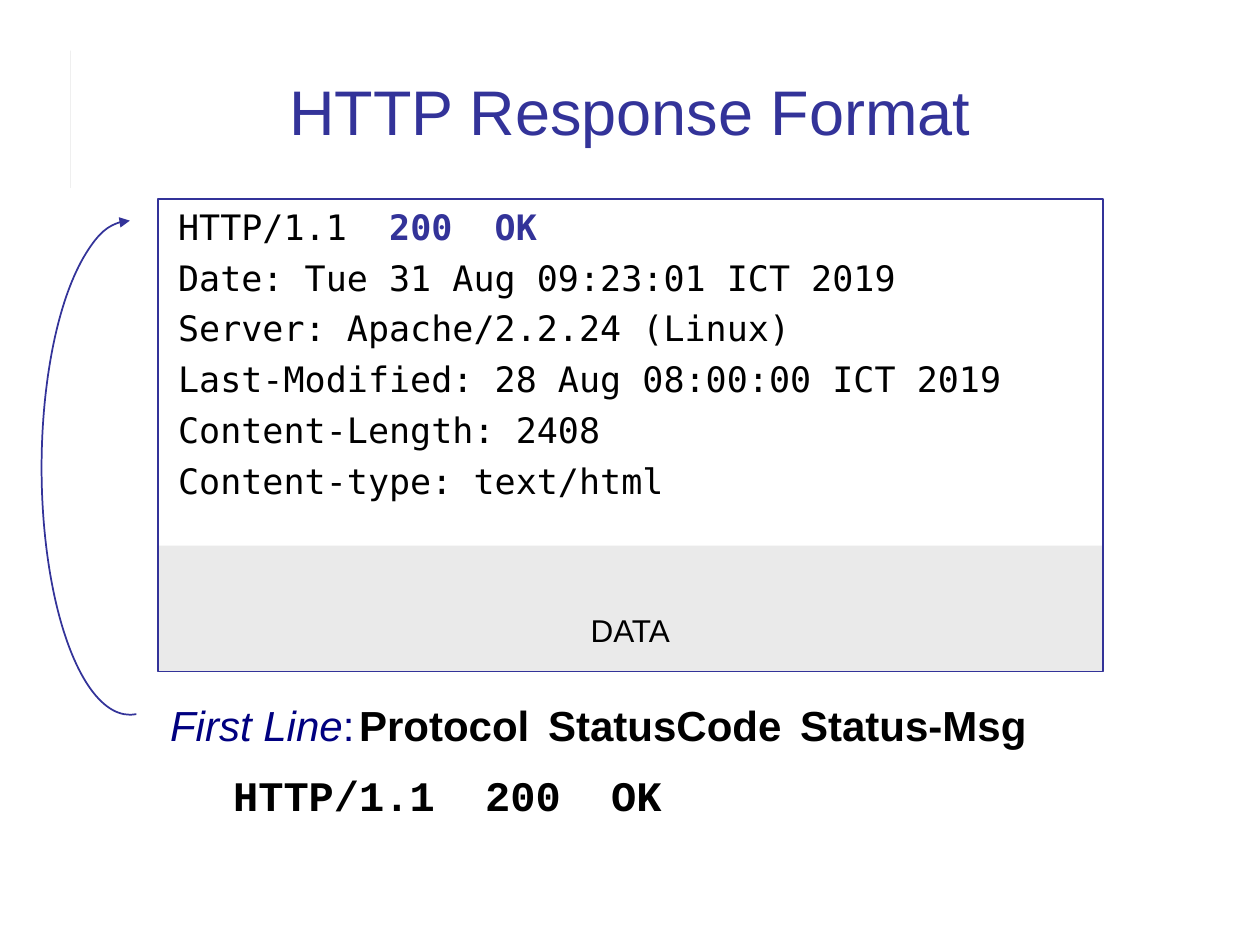
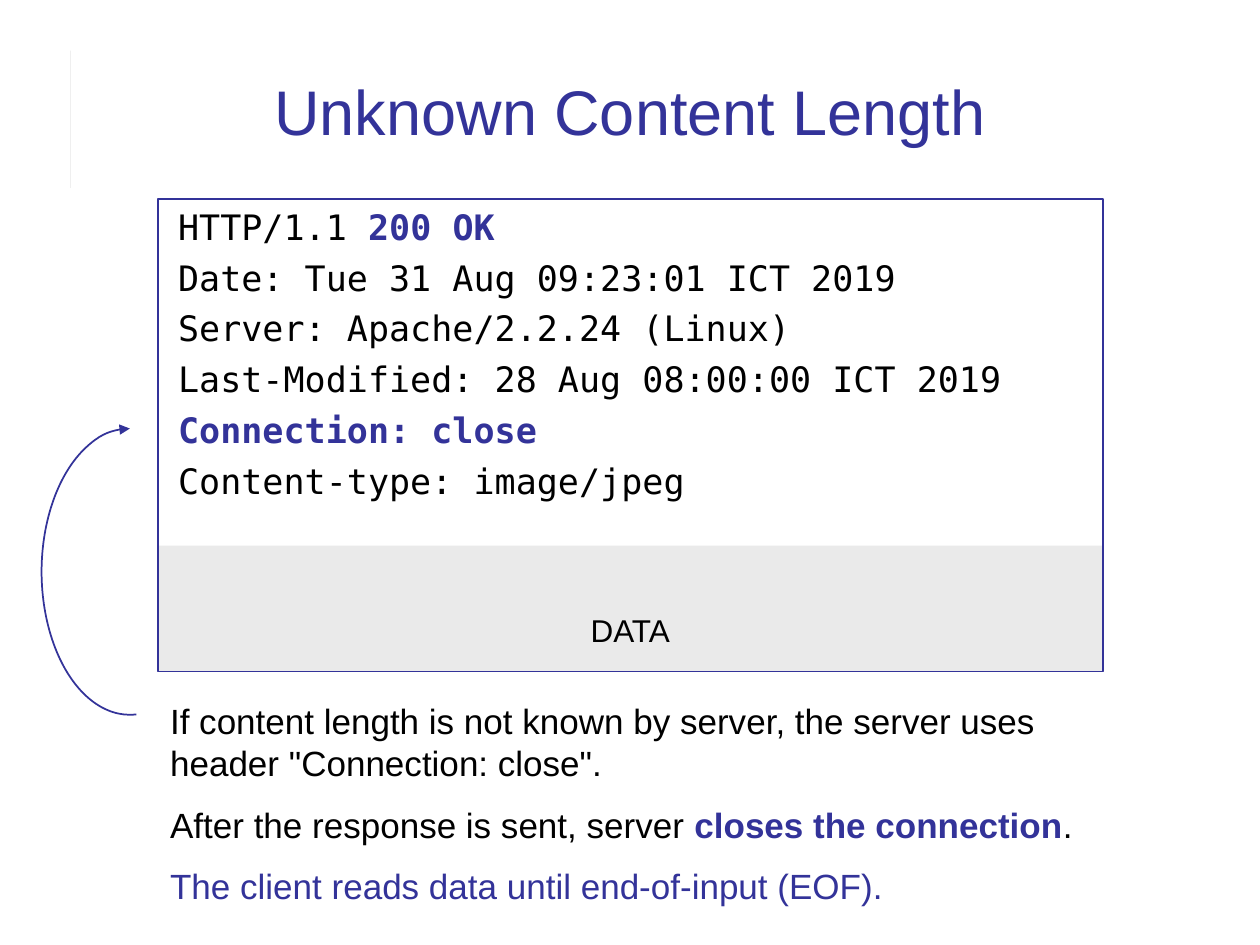
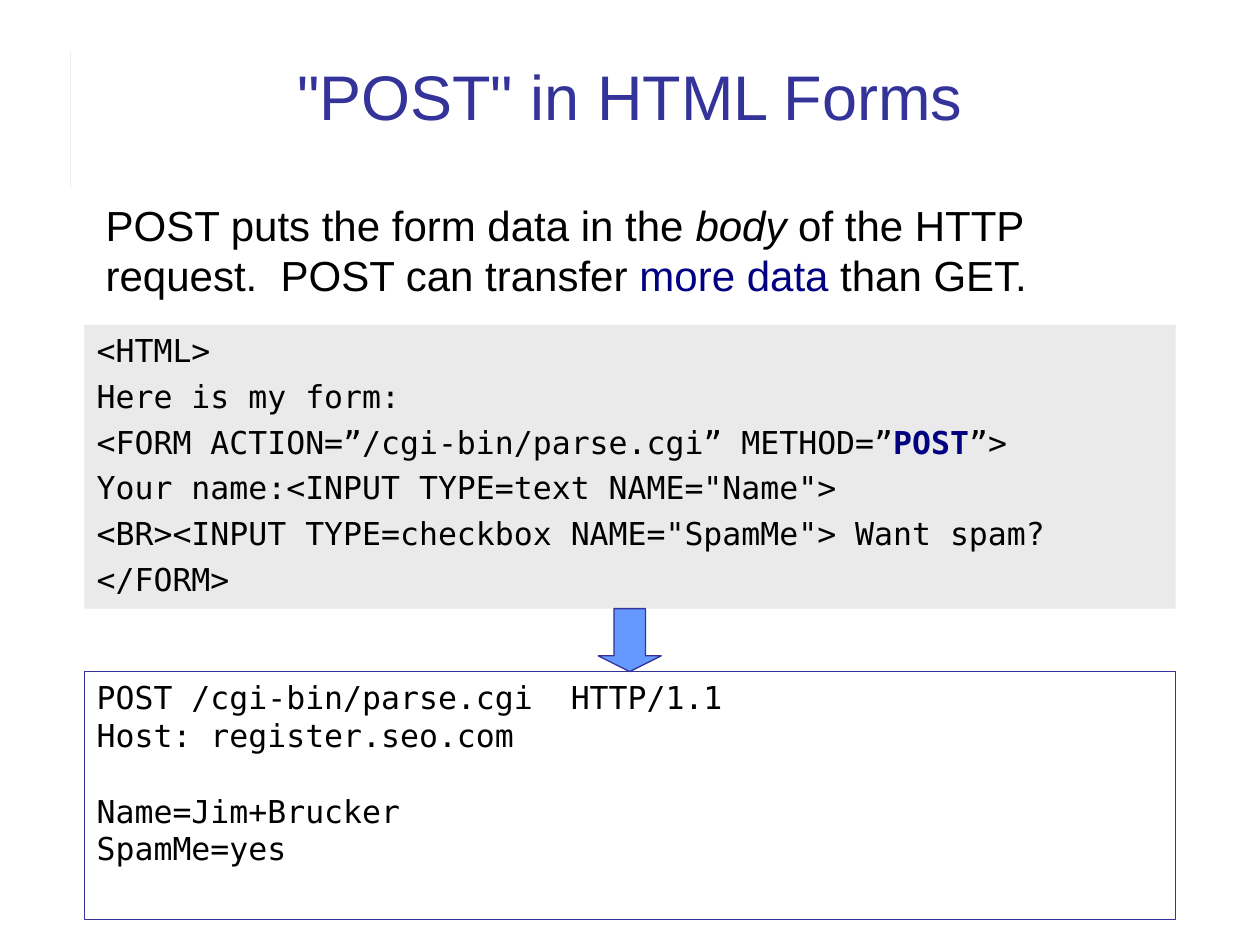
import math
from dataclasses import dataclass

import pptx
import pptx.dml.color
import pptx.enum.shapes
import pptx.enum.text
import pptx.oxml
import pptx.oxml.ns
import pptx.util

Cm, Pt = pptx.util.Cm, pptx.util.Pt
SHAPE = pptx.enum.shapes.MSO_SHAPE
ALIGN = pptx.enum.text.PP_ALIGN
ANCHOR = pptx.enum.text.MSO_ANCHOR

# Shared look
INDIGO, NAVY, BLACK = "333399", "000080", "000000"
PANEL_GREY, RULE_GREY, ARROW_BLUE = "EAEAEA", "808080", "6699FF"
SANS, CODE, COURIER = "Arial", "DejaVu Sans Mono", "Courier New"
DATE_LINE = "Date: Tue 31 Aug 09:23:01 ICT 2019"
SERVER_LINE = "Server: Apache/2.2.24 (Linux)"
MODIFIED_LINE = "Last-Modified: 28 Aug 08:00:00 ICT 2019"
ARC_BOTTOM = 14.41


@dataclass(frozen=True)
class Place:
    """Left, top, width and height in centimetres."""
    left: float
    top: float
    width: float
    height: float

    def lengths(self) -> tuple:
        return Cm(self.left), Cm(self.top), Cm(self.width), Cm(self.height)


@dataclass(frozen=True)
class Style:
    size: float
    font: str = SANS
    before: float = 0
    align: ALIGN = ALIGN.LEFT
    margin: float = 0
    indent: float = 0


@dataclass(frozen=True)
class Span:
    text: str
    color: str = BLACK
    bold: bool = False
    italic: bool = False
    font: str = ""


@dataclass(frozen=True)
class Para:
    spans: tuple
    tabs: tuple = ()
    before: float | None = None


TITLE_PLACE = Place(1.7, 0.71, 22, 2.41)
RESPONSE_PLACE = Place(3.18, 4.01, 19.05, 9.53)
DATA_PLACE = Place(3.18, 11, 19.05, 2.54)

TITLE_STYLE = Style(36, align=ALIGN.CENTER)
RESPONSE_STYLE = Style(20, CODE, before=5, margin=0.97, indent=-0.81)
DATA_STYLE = Style(18, align=ALIGN.CENTER)


def line(*parts: Span | str, tabs: tuple = (), before: float | None = None) -> Para:
    spans = tuple(Span(part) if isinstance(part, str) else part for part in parts)
    return Para(spans, tabs, before)


def rgb(color: str) -> pptx.dml.color.RGBColor:
    return pptx.dml.color.RGBColor.from_string(color)


def add_xml(parent, tag: str, **attributes):
    element = pptx.oxml.ns.qn(tag)
    child = parent.makeelement(element, attributes)
    parent.append(child)
    return child


def paint(box, fill: str = "", outline: str = "", weight: float = 0.75) -> None:
    if fill:
        box.fill.solid()
        box.fill.fore_color.rgb = rgb(fill)
    else:
        box.fill.background()
    if outline:
        box.line.color.rgb = rgb(outline)
        box.line.width = Pt(weight)
    else:
        box.line.fill.background()


def write(box, paras: list, style: Style, anchor: ANCHOR = ANCHOR.TOP) -> None:
    frame = box.text_frame
    frame.word_wrap = True
    frame.auto_size = pptx.enum.text.MSO_AUTO_SIZE.NONE
    frame.vertical_anchor = anchor
    frame.margin_left = frame.margin_right = Cm(0.25)
    frame.margin_top = frame.margin_bottom = Cm(0.13)
    for index, entry in enumerate(paras):
        para = frame.add_paragraph() if index else frame.paragraphs[0]
        properties = para._p.get_or_add_pPr()
        properties.set("marL", str(Cm(style.margin)))
        properties.set("indent", str(Cm(style.indent)))
        add_xml(properties, "a:buNone")
        if entry.tabs:
            stops = add_xml(properties, "a:tabLst")
            for stop in entry.tabs:
                add_xml(stops, "a:tab", pos=str(Cm(stop)), algn="l")
        para.alignment = style.align
        before = style.before if entry.before is None else entry.before
        para.space_before = Pt(before if index else 0)
        for part in entry.spans:
            span = para.add_run()
            span.text = part.text
            span.font.name = part.font or style.font
            span.font.size = Pt(style.size)
            span.font.bold = part.bold
            span.font.italic = part.italic
            span.font.color.rgb = rgb(part.color)


def move(box, place: Place) -> None:
    box.left, box.top, box.width, box.height = place.lengths()


def add_box(page, place: Place, kind: SHAPE = SHAPE.RECTANGLE, fill: str = "",
            outline: str = "", weight: float = 0.75):
    box = page.shapes.add_shape(kind, *place.lengths())
    box.shadow.inherit = False
    paint(box, fill, outline, weight)
    return box


def add_page(deck, title: str, anchor: ANCHOR = ANCHOR.BOTTOM):
    page = deck.slides.add_slide(deck.slide_layouts[1])
    move(page.shapes.title, TITLE_PLACE)
    write(page.shapes.title, [line(Span(title, INDIGO))], TITLE_STYLE, anchor)
    return page


def add_title_rule(page) -> None:
    """Put the thin rule beside the title on the layout, for every page."""
    rule = add_box(page, Place(1.42, 1.02, 0, 2.77), fill=RULE_GREY)
    page.slide_layout.placeholders[0].element.addprevious(rule.element)


def add_response(page, paras: list) -> None:
    """Framed response headers over the grey data panel."""
    panel = add_box(page, DATA_PLACE, fill=PANEL_GREY)
    write(panel, [line("DATA")], DATA_STYLE, ANCHOR.BOTTOM)
    panel.text_frame.margin_bottom = Cm(0.46)
    page.shapes.title.element.addprevious(panel.element)
    body = page.placeholders[1]
    move(body, RESPONSE_PLACE)
    paint(body, outline=INDIGO, weight=1)
    write(body, paras, RESPONSE_STYLE)


def add_curved_arrow(page, top: float) -> None:
    """Arc from the note up to the header line it explains."""
    height = ARC_BOTTOM - top
    arc = add_box(page, Place(0.84, top, 3.56, height), SHAPE.ARC,
                  outline=INDIGO, weight=1)
    start = math.degrees(math.atan2(height / 2, 0.13))
    for index, angle in enumerate((start, 270)):
        arc.adjustments[index] = angle * 0.6  # 60000 units per degree, scaled by 100000
    add_xml(arc.line._get_or_add_ln(), "a:tailEnd", type="triangle")


def add_note(page, place: Place, paras: list, style: Style) -> None:
    write(page.shapes.add_textbox(*place.lengths()), paras, style)


def build_response_format(deck) -> None:
    page = add_page(deck, "HTTP Response Format")
    add_title_rule(page)
    add_response(page, [
        line("HTTP/1.1  ", Span("200  OK", INDIGO, bold=True)),
        line(DATE_LINE),
        line(SERVER_LINE),
        line(MODIFIED_LINE),
        line("Content-Length: 2408"),
        line("Content-type: text/html"),
    ])
    add_curved_arrow(page, 4.45)
    add_note(page, Place(3.18, 13.97, 20.45, 2.69), [
        line(Span("First Line", NAVY, italic=True), Span(":", NAVY),
             Span("\tProtocol\tStatusCode\tStatus-Msg", bold=True),
             tabs=(4.17, 8.33, 13.49)),
        line(Span("\tHTTP/1.1\t200\tOK", bold=True, font=COURIER),
             tabs=(4.01, 9.6, 15.16)),
    ], Style(24, before=11.2))


def build_unknown_length(deck) -> None:
    page = add_page(deck, "Unknown Content Length")
    add_response(page, [
        line("HTTP/1.1 ", Span("200 OK", INDIGO, bold=True)),
        line(DATE_LINE),
        line(SERVER_LINE),
        line(MODIFIED_LINE),
        line(Span("Connection: close", INDIGO, bold=True)),
        line("Content-type: image/jpeg"),
    ])
    add_curved_arrow(page, 8.64)
    add_note(page, Place(3.18, 13.97, 18.85, 4.45), [
        line("If content length is not known by server, the server uses "
             'header "Connection: close".'),
        line("After the response is sent, server ",
             Span("closes the connection", INDIGO, bold=True), "."),
        line(Span("The client reads data until end-of-input (EOF).", INDIGO)),
    ], Style(20, before=11.2))


def build_post_form(deck) -> None:
    page = add_page(deck, '"POST" in HTML Forms', ANCHOR.MIDDLE)
    body = page.placeholders[1]
    move(body, Place(1.88, 3.89, 22, 3.53))
    write(body, [
        line("POST puts the form data in the ", Span("body", italic=True),
             " of the HTTP request.  POST can transfer ",
             Span("more data", NAVY), " than GET."),
    ], Style(24))

    # Form source, and the request it produces
    form = add_box(page, Place(1.7, 6.55, 22, 5.72), fill=PANEL_GREY)
    write(form, [
        line("<HTML>"),
        line("Here is my form:"),
        line("<FORM ACTION=”/cgi-bin/parse.cgi” METHOD=”",
             Span("POST", NAVY, bold=True), "”>"),
        line('Your name:<INPUT TYPE=text NAME="Name">'),
        line('<BR><INPUT TYPE=checkbox NAME="SpamMe"> Want spam?'),
        line("</FORM>"),
    ], Style(18, CODE, before=4.5))
    request = add_box(page, Place(1.7, 13.54, 22, 5), outline=INDIGO)
    write(request, [
        line("POST /cgi-bin/parse.cgi  HTTP/1.1"),
        line("Host: register.seo.com"),
        line("Name=Jim+Brucker", before=21.7),
        line("SpamMe=yes"),
    ], Style(18, CODE))
    arrow = add_box(page, Place(12.06, 12.27, 1.27, 1.27), SHAPE.DOWN_ARROW,
                    fill=ARROW_BLUE, outline=INDIGO)
    arrow.adjustments[0], arrow.adjustments[1] = 0.5, 0.25


def main() -> None:
    deck = pptx.Presentation()
    deck.slide_width, deck.slide_height = Cm(25.4), Cm(19.05)
    build_response_format(deck)
    build_unknown_length(deck)
    build_post_form(deck)
    deck.save("out.pptx")


if __name__ == "__main__":
    main()
